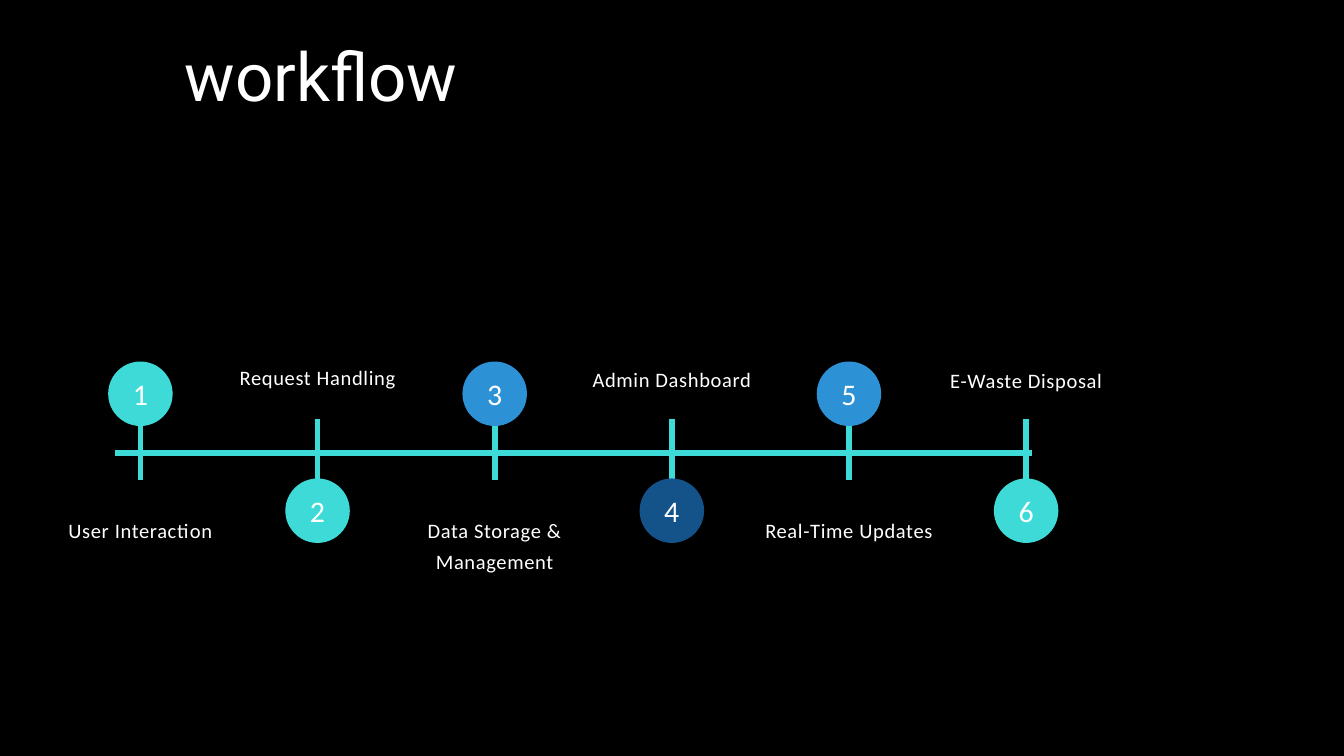
from lxml import etree
from pptx import Presentation, util as u
from pptx.dml.color import RGBColor
from pptx.enum import shapes, text
from pptx.oxml.ns import qn


def rgb(value):
    return RGBColor.from_string(value)


def write(sp, content, size, leading, font="Calibri", spacing=0, anchor=text.MSO_ANCHOR.TOP, bottom=0):
    tf = sp.text_frame
    frame = dict(margin_left=0, margin_right=0, margin_top=0, margin_bottom=u.Inches(bottom),
                 word_wrap=True, auto_size=text.MSO_AUTO_SIZE.NONE, vertical_anchor=anchor)
    for name, value in frame.items():
        setattr(tf, name, value)
    p = tf.paragraphs[0]
    for name, value in dict(alignment=text.PP_ALIGN.CENTER, line_spacing=u.Pt(leading),
                            space_before=u.Pt(0)).items():
        setattr(p, name, value)
    r = p.add_run()
    r.text = content
    for name, value in dict(name=font, size=u.Pt(size), bold=False).items():
        setattr(r.font, name, value)
    r.font.color.rgb = rgb("FFFFFF")
    if spacing:
        r._r.get_or_add_rPr().set("spc", str(spacing))


prs = Presentation()
prs.slide_width, prs.slide_height = u.Inches(20), u.Inches(11.25)
s = prs.slides.add_slide(prs.slide_layouts[5])
s.background.fill.solid()
s.background.fill.fore_color.rgb = rgb("000000")

title = s.shapes.title
for name, value in dict(left=0.33, top=0.58, width=8.89, height=1.14).items():
    setattr(title, name, u.Inches(value))
write(title, "workflow", 72, 81.4, "Roboto")

steps = [
    ("User Interaction", "3EDAD8", 7.62),
    ("Request Handling", "3EDAD8", 5.34),
    ("Data Storage & Management", "2C92D5", 7.62),
    ("Admin Dashboard", "13538A", 5.37),
    ("Real-Time Updates", "2C92D5", 7.62),
    ("E-Waste Disposal", "3EDAD8", 5.38),
]
first, pitch, diameter, label_width = 2.09, 2.636, 0.96, 2.93
centers = [first + i * pitch for i in range(len(steps))]

lines = [(1.71, 6.74, 15.36, 6.74)] + [(x, 7.15, x, 6.23) for x in centers]
for ends in lines:
    line = s.shapes.add_connector(shapes.MSO_CONNECTOR.STRAIGHT, *map(u.Inches, ends))
    line.line.color.rgb = rgb("3EDAD8")
    line.line.width = u.Pt(6)
    etree.SubElement(line._element.spPr, qn("a:effectLst"))

for i, (x, (label, color, label_top)) in enumerate(zip(centers, steps)):
    height = 0.87 if "&" in label else 0.42
    box = s.shapes.add_textbox(u.Inches(x - label_width / 2), u.Inches(label_top),
                               u.Inches(label_width), u.Inches(height))
    write(box, label, 22, 33, spacing=70)

    circle_top = 7.12 if i % 2 else 5.38
    sp = s.shapes.add_shape(shapes.MSO_SHAPE.OVAL, u.Inches(x - diameter / 2), u.Inches(circle_top),
                            u.Inches(diameter), u.Inches(diameter))
    sp.shadow.inherit = False
    sp.fill.solid()
    sp.fill.fore_color.rgb = rgb(color)
    sp.line.fill.background()
    write(sp, str(i + 1), 32, 48, spacing=100, anchor=text.MSO_ANCHOR.MIDDLE, bottom=0.13)

prs.save("out.pptx")
